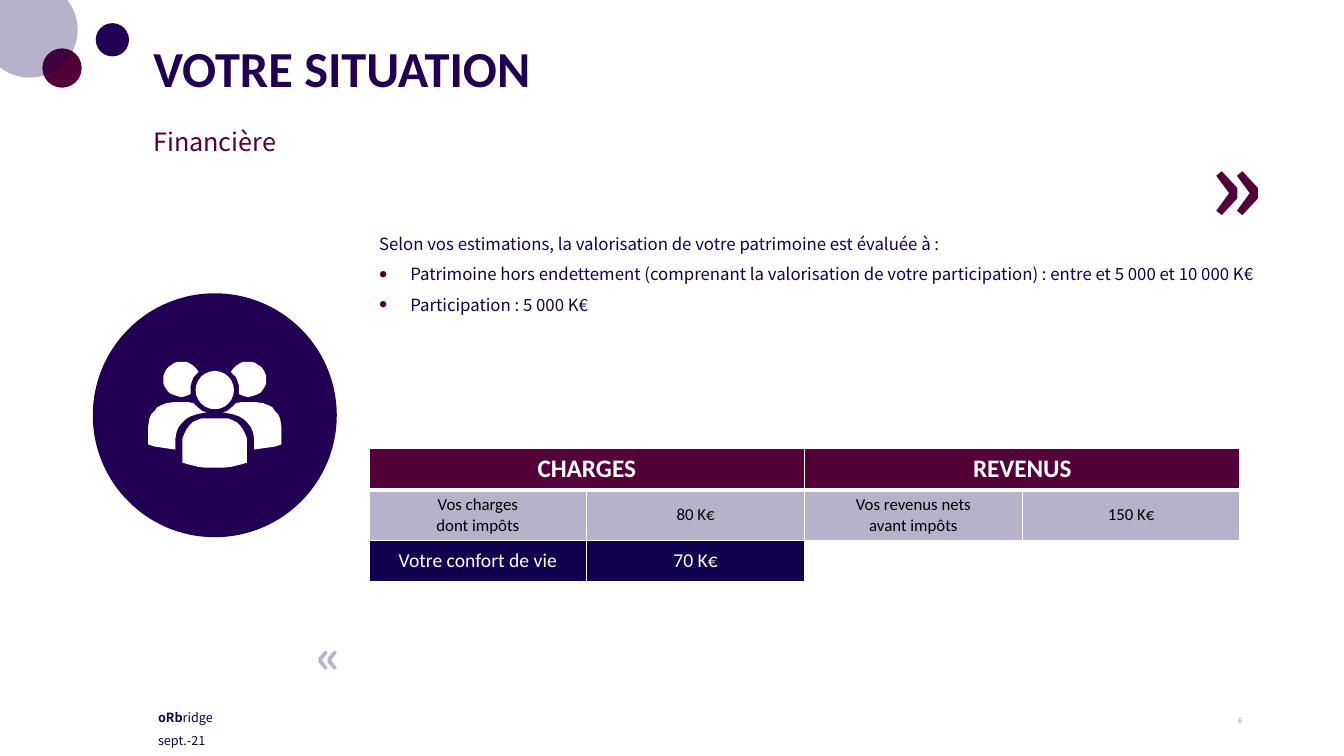
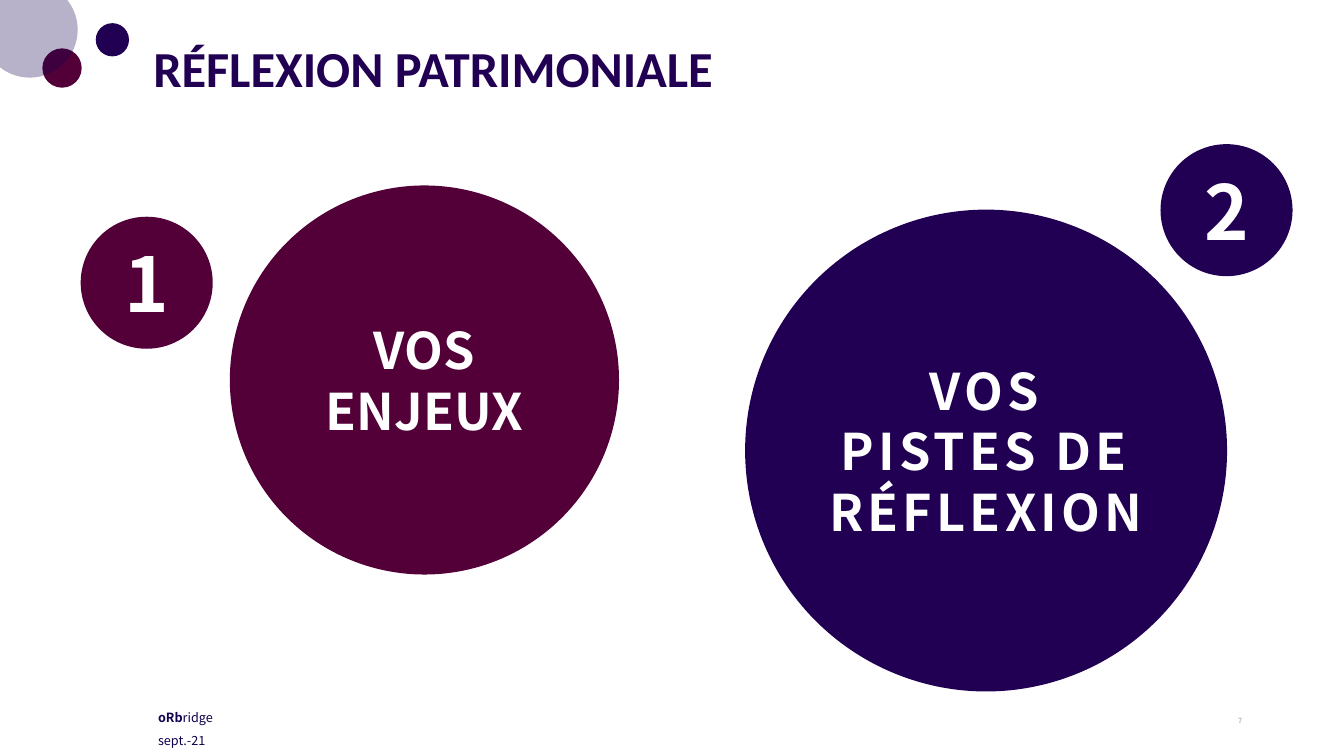
import pptx
import pptx.dml.color
import pptx.enum.shapes
import pptx.enum.text
import pptx.oxml
import pptx.oxml.ns
import pptx.util
from pptx.util import Inches

RGBColor = pptx.dml.color.RGBColor
PLUM = RGBColor(0x53, 0x00, 0x39)
INDIGO = RGBColor(0x21, 0x00, 0x53)
NAVY = RGBColor(0x11, 0x00, 0x4E)
LILAC = RGBColor(0xB7, 0xB2, 0xCA)
WHITE = RGBColor(0xFF, 0xFF, 0xFF)
BLACK = RGBColor(0x00, 0x00, 0x00)
SANS_TC = "Noto Sans CJK TC"
SANS_KR = "Noto Sans CJK KR"
CALIBRI = "Calibri"
CENTER = pptx.enum.text.PP_ALIGN.CENTER
LEFT = pptx.enum.text.PP_ALIGN.LEFT
RIGHT = pptx.enum.text.PP_ALIGN.RIGHT
MIDDLE = pptx.enum.text.MSO_ANCHOR.MIDDLE
TOP = pptx.enum.text.MSO_ANCHOR.TOP
NO_AUTOFIT = pptx.enum.text.MSO_AUTO_SIZE.NONE
qn = pptx.oxml.ns.qn


def add_run(paragraph, text, font_name, size, color, bold=False):
    run = paragraph.add_run()
    run.text = text
    run.font.name = font_name
    run.font.size = pptx.util.Pt(size)
    run.font.color.rgb = color
    run.font.bold = bold
    return run


def add_circle(shapes, left, top, diameter, color):
    circle = shapes.add_shape(
        pptx.enum.shapes.MSO_SHAPE.OVAL,
        Inches(left), Inches(top), Inches(diameter), Inches(diameter))
    circle.shadow.inherit = False
    circle.fill.solid()
    circle.fill.fore_color.rgb = color
    circle.line.fill.background()
    return circle


presentation = pptx.Presentation()
presentation.slide_width = Inches(13.33)
presentation.slide_height = Inches(7.5)
situation = presentation.slides.add_slide(presentation.slide_layouts[3])
reflection = presentation.slides.add_slide(presentation.slide_layouts[5])

plum_dot = add_circle(situation.shapes, 0.42, 0.48, 0.39, PLUM)
pale_disc = add_circle(situation.shapes, -0.18, -0.18, 0.95, NAVY)
pale_color = pale_disc.element.spPr.find(qn("a:solidFill")).find(qn("a:srgbClr"))
pptx.oxml.ns
alpha = pale_color.makeelement(qn("a:alpha"), {"val": "30000"})
pale_color.append(alpha)
indigo_dot = add_circle(situation.shapes, 0.95, 0.23, 0.33, INDIGO)
shared_shapes = [plum_dot, pale_disc, indigo_dot]
footers = [
    (6.99, 2.46, [("oRb", True), ("ridge", False)]),
    (7.22, 1.66, [("sept.-21", False)]),
]
for top, width, runs in footers:
    footer = situation.shapes.add_textbox(
        Inches(1.47), Inches(top), Inches(width), Inches(0.25))
    footer.text_frame.word_wrap = True
    for text, bold in runs:
        add_run(footer.text_frame.paragraphs[0], text, SANS_TC, 9, NAVY, bold)
    shared_shapes.append(footer)
for number, shape in enumerate(shared_shapes, start=101):
    shape.element.find(".//" + qn("p:cNvPr")).set("id", str(number))
    presentation.slide_master.shapes.element.append(shape.element)

headings = [
    (situation, "VOTRE SITUATION", "6"),
    (reflection, "RÉFLEXION PATRIMONIALE", "7"),
]
for slide, heading, page in headings:
    title = slide.shapes.title
    title.left, title.top = Inches(1.42), Inches(0.4)
    title.width, title.height = Inches(11), Inches(0.61)
    title.text_frame.auto_size = NO_AUTOFIT
    title.text_frame.vertical_anchor = MIDDLE
    paragraph = title.text_frame.paragraphs[0]
    paragraph.alignment = LEFT
    paragraph.line_spacing = 0.9
    add_run(paragraph, heading, CALIBRI, 36, INDIGO, True)

    page_box = slide.shapes.add_textbox(
        Inches(9.42), Inches(6.95), Inches(3), Inches(0.4))
    page_box.text_frame.word_wrap = True
    page_box.text_frame.vertical_anchor = MIDDLE
    paragraph = page_box.text_frame.paragraphs[0]
    paragraph.alignment = RIGHT
    add_run(paragraph, page, SANS_TC, 5, LILAC, True)

bodies = [
    (1, 1.42, 1.24, 11.03, 0.39, 0.9, 18, PLUM, [("Financière", False)]),
    (2, 3.66, 2.17, 9.19, 0.97, 1.5, 12, NAVY, [
        ("Selon vos estimations, la valorisation de votre patrimoine est évaluée à :", False),
        ("Patrimoine hors endettement (comprenant la valorisation de votre participation) "
         ": entre et 5 000 et 10 000 K€", True),
        ("Participation : 5 000 K€", True),
    ]),
]
for index, left, top, width, height, spacing, size, color, lines in bodies:
    body = situation.placeholders[index]
    body.left, body.top = Inches(left), Inches(top)
    body.width, body.height = Inches(width), Inches(height)
    frame = body.text_frame
    frame.auto_size = NO_AUTOFIT
    frame.vertical_anchor = TOP
    for position, (text, bulleted) in enumerate(lines):
        paragraph = frame.add_paragraph() if position else frame.paragraphs[0]
        paragraph.line_spacing = spacing
        paragraph.space_before = pptx.util.Pt(0)
        properties = paragraph._p.get_or_add_pPr()
        indent = Inches(0.31) if bulleted else 0
        properties.set("marL", str(indent))
        properties.set("indent", str(-indent))
        if bulleted:
            bullet_color = properties.makeelement(qn("a:buClr"), {})
            bullet_color.append(
                properties.makeelement(qn("a:srgbClr"), {"val": str(PLUM)}))
            properties.append(bullet_color)
            for tag, attributes in [
                ("a:buSzPct", {"val": "140000"}),
                ("a:buFont", {"typeface": "Arial"}),
                ("a:buChar", {"char": "•"}),
            ]:
                properties.append(properties.makeelement(qn(tag), attributes))
        else:
            properties.append(properties.makeelement(qn("a:buNone"), {}))
        add_run(paragraph, text, SANS_KR, size, color)

add_circle(situation.shapes, 0.92, 2.91, 2.42, INDIGO)
people = situation.shapes.add_group_shape()
AXIS = 2.13
left_shoulder = [
    (1.84, 4.16), (1.89, 4.13), (1.95, 4.11), (2, 4.1), (2.05, 4.09),
    (2.01, 4.08), (1.96, 4.04), (1.92, 4), (1.87, 3.99), (1.72, 3.99),
    (1.65, 4), (1.6, 4.02), (1.56, 4.04), (1.53, 4.08), (1.5, 4.11),
    (1.48, 4.16), (1.47, 4.23), (1.47, 4.41), (1.53, 4.43), (1.6, 4.44),
    (1.67, 4.45), (1.74, 4.46), (1.74, 4.35), (1.75, 4.29), (1.77, 4.24),
    (1.8, 4.2),
]
left_head = [
    (1.62, 3.8), (1.63, 3.83), (1.65, 3.86), (1.67, 3.89), (1.7, 3.91),
    (1.73, 3.92), (1.76, 3.93), (1.8, 3.94), (1.84, 3.93), (1.89, 3.91),
    (1.89, 3.83), (1.9, 3.79), (1.92, 3.74), (1.97, 3.69), (1.95, 3.66),
    (1.92, 3.63), (1.89, 3.61), (1.85, 3.59), (1.8, 3.59), (1.76, 3.59),
    (1.73, 3.6), (1.7, 3.62), (1.67, 3.64), (1.64, 3.68), (1.62, 3.73),
]
half_torso = [
    (2.13, 4.15), (2.05, 4.15), (2, 4.15), (1.95, 4.17), (1.91, 4.19),
    (1.88, 4.22), (1.85, 4.26), (1.83, 4.3), (1.81, 4.35), (1.81, 4.59),
    (1.88, 4.61), (1.96, 4.63), (2.04, 4.64), (2.13, 4.64),
]
outlines = [half_torso + [(2 * AXIS - x, y) for x, y in half_torso[-2:0:-1]]]
for outline in (left_shoulder, left_head):
    outlines += [outline, [(2 * AXIS - x, y) for x, y in outline]]
for outline in outlines:
    points = [(Inches(x), Inches(y)) for x, y in outline]
    builder = people.shapes.build_freeform(*points[0])
    builder.add_line_segments(points[1:], close=True)
    figure = builder.convert_to_shape()
    figure.shadow.inherit = False
    figure.fill.solid()
    figure.fill.fore_color.rgb = WHITE
    figure.line.fill.background()
add_circle(people.shapes, 1.94, 3.68, 0.38, WHITE)

quotes = [
    ("«", 3.04, 6.19, 0.46, 0.64, 32, LILAC),
    ("»", 11.91, 1.16, 0.78, 1.31, 72, PLUM),
]
for mark, left, top, width, height, size, color in quotes:
    quote = situation.shapes.add_textbox(
        Inches(left), Inches(top), Inches(width), Inches(height))
    quote.text_frame.word_wrap = True
    add_run(quote.text_frame.paragraphs[0], mark, SANS_TC, size, color, True)

budget_rows = [
    (18, True, PLUM, WHITE, ["CHARGES", "", "REVENUS", ""]),
    (12, False, LILAC, BLACK, ["Vos charges\ndont impôts", "80 K€",
                               "Vos revenus nets\navant impôts", "150 K€"]),
    (14, False, NAVY, WHITE, ["Votre confort de vie", "70 K€", "", ""]),
]
table = situation.shapes.add_table(
    3, 4, Inches(3.66), Inches(4.45), Inches(8.64), Inches(1.23)).table
table.horz_banding = False
for column in table.columns:
    column.width = Inches(2.16)
for row_index, (size, bold, fill, color, texts) in enumerate(budget_rows):
    table.rows[row_index].height = Inches(0.41)
    for column_index, text in enumerate(texts):
        cell = table.cell(row_index, column_index)
        cell.vertical_anchor = MIDDLE
        cell_properties = cell._tc.get_or_add_tcPr()
        for side in ("L", "R", "T", "B"):
            thick = (row_index, side) in [(0, "B"), (1, "T")]
            border = cell_properties.makeelement(
                qn("a:ln" + side), {"w": str(pptx.util.Pt(3 if thick else 1))})
            border_fill = border.makeelement(qn("a:solidFill"), {})
            border_fill.append(
                border.makeelement(qn("a:srgbClr"), {"val": str(WHITE)}))
            border.append(border_fill)
            cell_properties.append(border)
        if text or row_index == 0:
            cell.fill.solid()
            cell.fill.fore_color.rgb = fill
        else:
            cell.fill.background()
        if text:
            for position, line in enumerate(text.split("\n")):
                frame = cell.text_frame
                paragraph = frame.add_paragraph() if position else frame.paragraphs[0]
                paragraph.alignment = CENTER
                add_run(paragraph, line, CALIBRI, size, color, bold)
for column_index in (0, 2):
    table.cell(0, column_index).merge(table.cell(0, column_index + 1))

topics = [
    ("1", 0.8, 2.15, 1.31, PLUM, 54, 0),
    ("2", 11.51, 1.43, 1.31, INDIGO, 54, 0),
    ("VOS ENJEUX", 2.28, 1.84, 3.86, PLUM, 36, 0),
    ("VOS PISTES DE RÉFLEXION", 7.39, 2.08, 4.78, INDIGO, 36, 300),
]
for text, left, top, diameter, color, size, letter_spacing in topics:
    circle = add_circle(reflection.shapes, left, top, diameter, color)
    circle.text_frame.word_wrap = True
    circle.text_frame.vertical_anchor = MIDDLE
    paragraph = circle.text_frame.paragraphs[0]
    paragraph.alignment = CENTER
    run = add_run(paragraph, text, SANS_TC, size, WHITE, True)
    if letter_spacing:
        run.font._element.set("spc", str(letter_spacing))

presentation.save("out.pptx")
